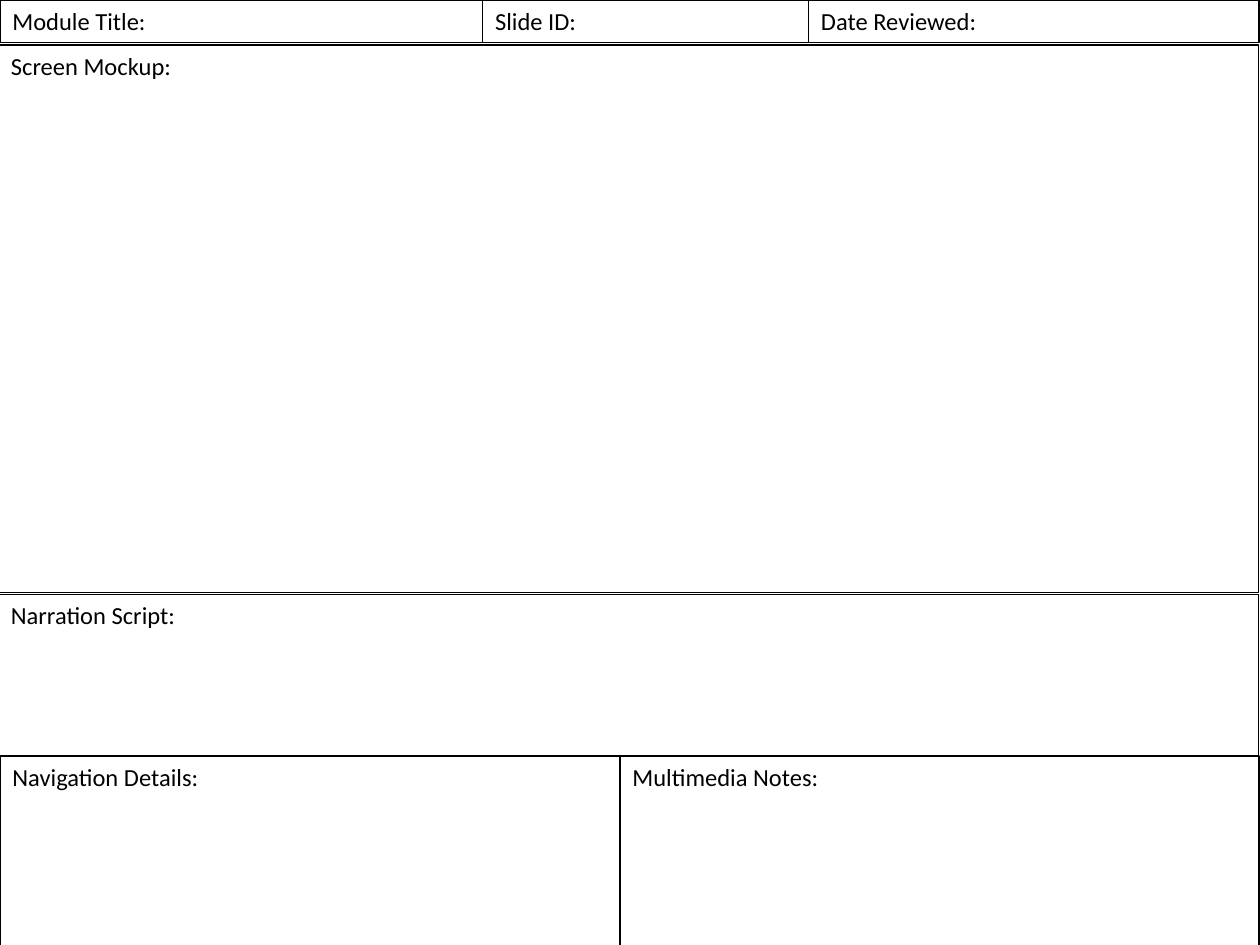
from pptx import Presentation
from pptx.dml.color import RGBColor
from pptx.enum.text import MSO_ANCHOR, MSO_AUTO_SIZE
from pptx.util import Cm, Pt

BLACK = RGBColor(0x00, 0x00, 0x00)
TOP = MSO_ANCHOR.TOP
NO_AUTOFIT = MSO_AUTO_SIZE.NONE
BLANK_LAYOUT = 6

deck = Presentation()
deck.slide_width = Cm(25.4)
deck.slide_height = Cm(19.05)
page = deck.slides.add_slide(deck.slide_layouts[BLANK_LAYOUT])


def add_field(text, left, top, width, height, font="Calibri", size=14, color=BLACK):
    """Add an outlined storyboard field with its label at the top left."""
    box = page.shapes.add_textbox(Cm(left), Cm(top), Cm(width), Cm(height))
    box.line.color.rgb = BLACK
    box.line.width = Pt(0.75)
    frame = box.text_frame
    frame.word_wrap = True
    frame.auto_size = NO_AUTOFIT
    frame.vertical_anchor = TOP
    span = frame.paragraphs[0].add_run()
    span.text = text
    span.font.name = font
    span.font.size = Pt(size)
    span.font.color.rgb = color


# Rows split into columns: top, height, right edge, (label, left edge) pairs
RIGHT_EDGE = 25.38
split_rows = [
    (0, 0.86, [("Module Title:", 0), ("Slide ID:", 9.73), ("Date Reviewed:", 16.3)]),
    (15.24, 3.84, [("Navigation Details:", 0), ("Multimedia Notes:", 12.5)]),
]
for top, height, fields in split_rows:
    edges = [left for label, left in fields] + [RIGHT_EDGE]
    for (label, left), right in zip(fields, edges[1:]):
        add_field(label, left, top, right - left, height)

# Full-width fields
for label, top, height in [
    ("Screen Mockup:", 0.91, 11.04),
    ("Narration Script:", 11.98, 3.25),
]:
    add_field(label, -0.03, top, 25.4, height)

deck.save("out.pptx")
